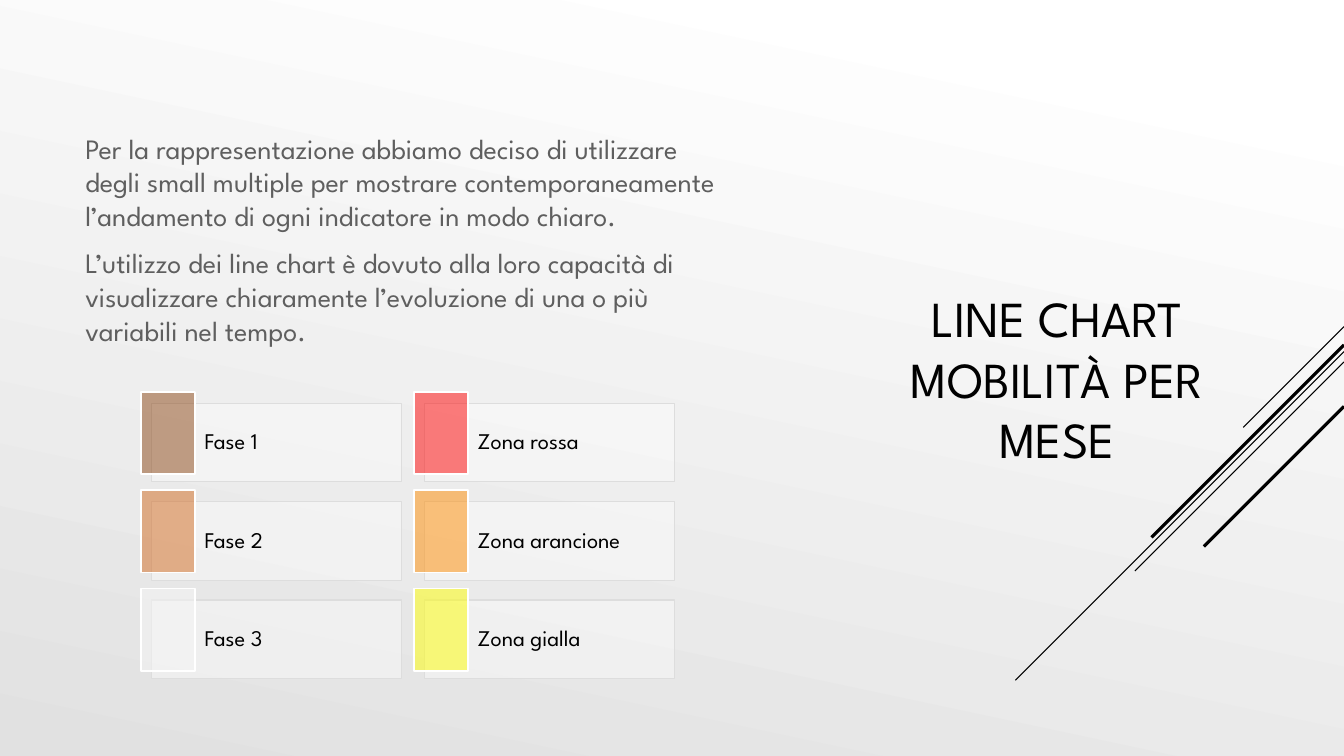
import pptx
import pptx.util
import pptx.dml.color
import pptx.enum.shapes
import pptx.enum.text
import lxml.etree
from dataclasses import dataclass
from pptx.util import Cm, Pt

RGB = pptx.dml.color.RGBColor.from_string
RECT = pptx.enum.shapes.MSO_SHAPE.RECTANGLE
STRAIGHT = pptx.enum.shapes.MSO_CONNECTOR.STRAIGHT
ALIGN = pptx.enum.text.PP_ALIGN
MIDDLE = pptx.enum.text.MSO_ANCHOR.MIDDLE
NO_FIT = pptx.enum.text.MSO_AUTO_SIZE.NONE


@dataclass(frozen=True)
class Theme:
    font: str = "League Spartan"
    ink: str = "000000"
    body: str = "5F5F5F"
    white: str = "FFFFFF"
    backdrop: str = "E1E1E1"
    card_line: str = "DDDDDD"
    title_size: int = 36
    body_size: int = 20
    label_size: int = 16


theme = Theme()


def style_text(p, size, color):
    for r in p.runs:
        r.font.name = theme.font
        r.font.size = Pt(size)
        r.font.color.rgb = RGB(color)


def add_panel(left, top, width, height, fill, opacity, line, line_width):
    """Add a rectangle whose fill has the given opacity in percent."""
    sp = s.shapes.add_shape(RECT, Cm(left), Cm(top), Cm(width), Cm(height))
    sp.shadow.inherit = False
    sp.fill.solid()
    sp.fill.fore_color.rgb = RGB(fill)
    clr = sp._element.spPr.find(".//" + pptx.oxml.ns.qn("a:srgbClr"))
    lxml.etree.SubElement(clr, pptx.oxml.ns.qn("a:alpha"), val=str(opacity * 1000))
    sp.line.color.rgb = RGB(line)
    sp.line.width = Pt(line_width)
    return sp


prs = pptx.Presentation()
prs.slide_width, prs.slide_height = Cm(33.87), Cm(19.05)
s = prs.slides.add_slide(prs.slide_layouts[5])

# Background
bg = s.background.fill
bg.gradient()
bg.gradient_angle = 258
for stop, position, color in zip(bg.gradient_stops, (0.1, 1), (theme.white, theme.backdrop)):
    stop.position = position
    stop.color.rgb = RGB(color)

# Diagonal lines at 45 degrees from the right edge: top, extent, width
right = 33.87
for top, extent, width in [(8.23, 2.54, 0.75), (8.86, 8.28, 0.75), (9.12, 5.27, 0.75),
                           (8.69, 4.85, 2.25), (10.24, 3.53, 2.25)]:
    cn = s.shapes.add_connector(STRAIGHT, Cm(right), Cm(top), Cm(right - extent), Cm(top + extent))
    cn.line.color.rgb = RGB(theme.ink)
    cn.line.width = Pt(width)
    lxml.etree.SubElement(cn._element.spPr, pptx.oxml.ns.qn("a:effectLst"))

# Title
title = s.shapes.title
title.left, title.top, title.width, title.height = Cm(21.56), Cm(3.89), Cm(10.16), Cm(11.28)
tf = title.text_frame
tf.text = "LINE CHART MOBILITÀ PER MESE"
tf.word_wrap = True
tf.auto_size = NO_FIT
tf.vertical_anchor = MIDDLE
tf.paragraphs[0].alignment = ALIGN.CENTER
style_text(tf.paragraphs[0], theme.title_size, theme.ink)

# Explanation
tf = s.shapes.add_textbox(Cm(1.9), Cm(1.88), Cm(16.51), Cm(8.28)).text_frame
tf.text = (
    "Per la rappresentazione abbiamo deciso di utilizzare degli small multiple per mostrare "
    "contemporaneamente l’andamento di ogni indicatore in modo chiaro.\n"
    "L’utilizzo dei line chart è dovuto alla loro capacità di visualizzare chiaramente "
    "l’evoluzione di una o più variabili nel tempo."
)
tf.word_wrap = True
tf.vertical_anchor = MIDDLE
for i, p in enumerate(tf.paragraphs):
    p.space_before = Pt(4 if i else 0)
    p.space_after = Pt(6)
    style_text(p, theme.body_size, theme.body)

# Legend: one column for phases, one for zones
legend = [
    [("Fase 1", "8B4513"), ("Fase 2", "D2691E"), ("Fase 3", "F5F5F5")],
    [("Zona rossa", "FF0000"), ("Zona arancione", "FF8C00"), ("Zona gialla", "FFFF00")],
]
for col, entries in enumerate(legend):
    for row, (label, color) in enumerate(entries):
        left, top = 3.81 + col * 6.88, 10.16 + row * 2.48
        card = add_panel(left, top, 6.32, 1.98, theme.white, 40, theme.card_line, 0.75)
        tf = card.text_frame
        tf.text = label
        tf.word_wrap = True
        tf.vertical_anchor = MIDDLE
        tf.margin_left = Cm(1.35)
        tf.margin_top = tf.margin_right = tf.margin_bottom = Cm(0.18)
        p = tf.paragraphs[0]
        p.alignment = ALIGN.LEFT
        p.line_spacing = 0.9
        style_text(p, theme.label_size, theme.ink)
        add_panel(left - 0.26, top - 0.29, 1.37, 2.08, color, 50, theme.white, 1.25)

prs.save("out.pptx")
